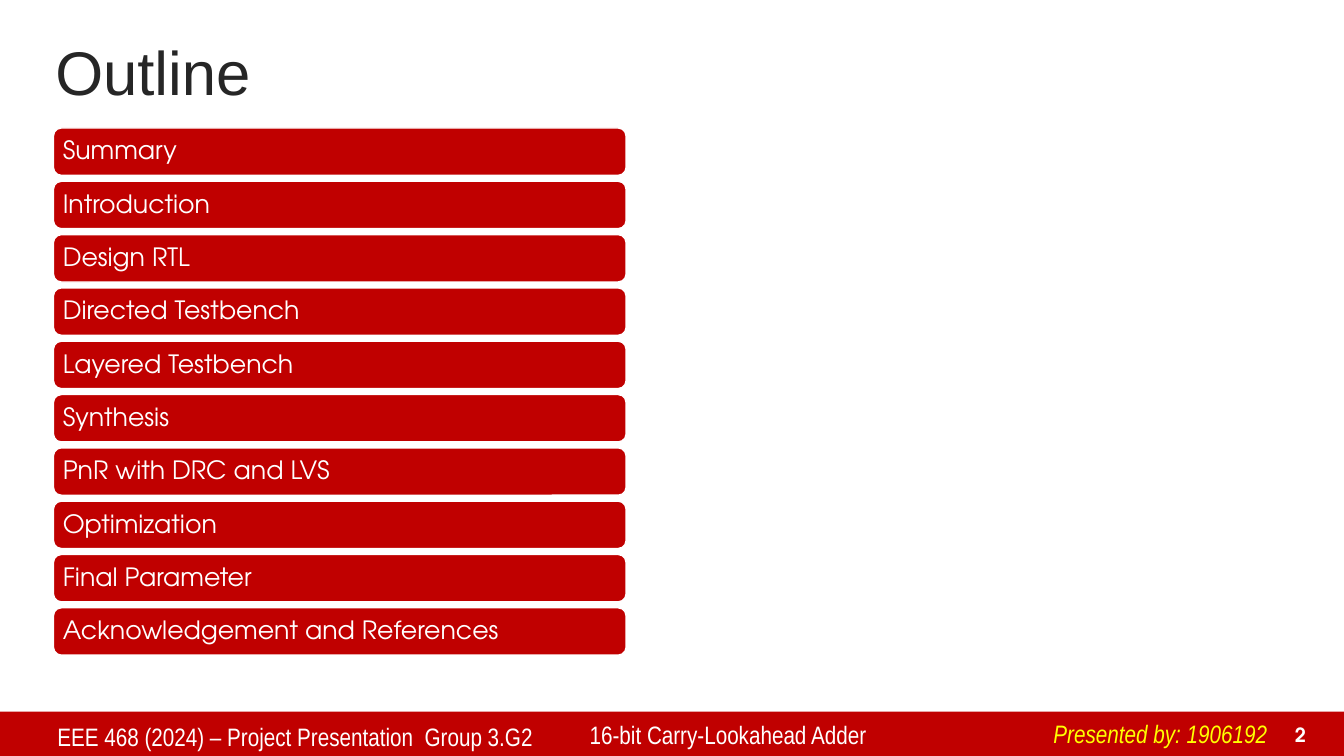
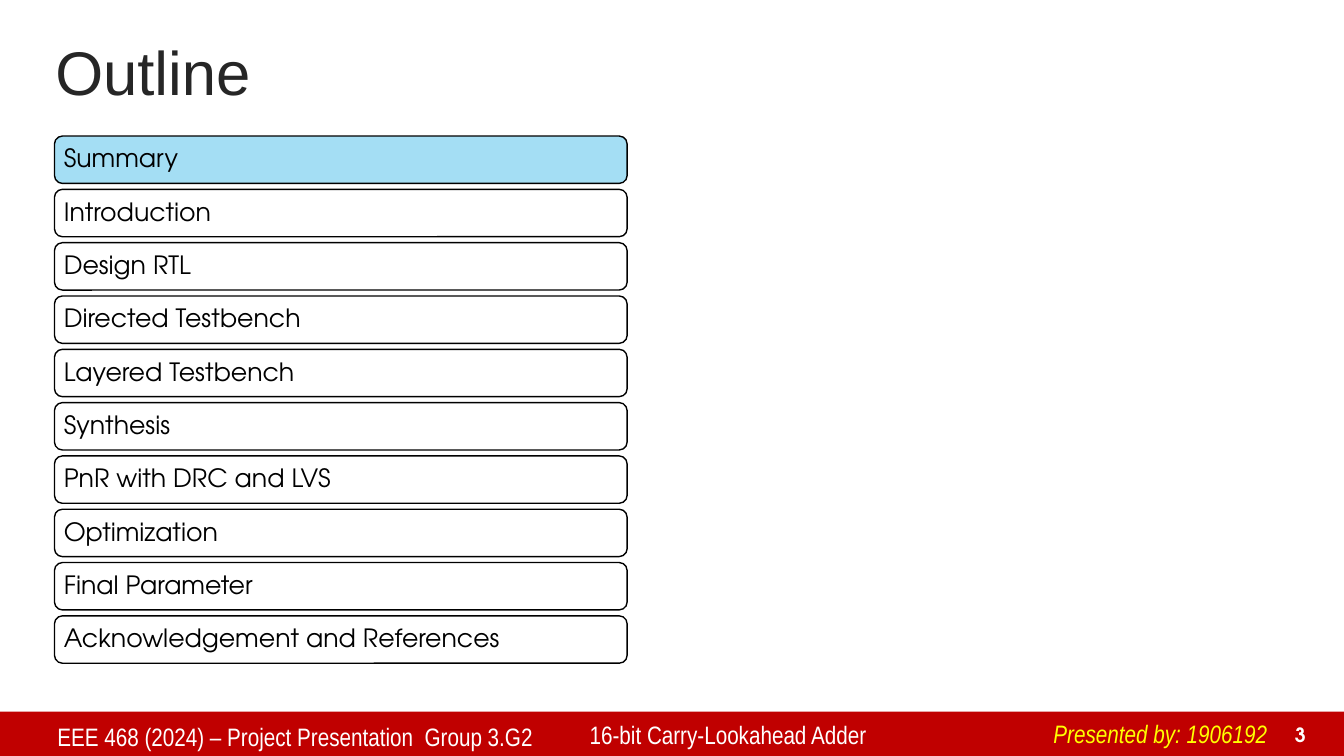
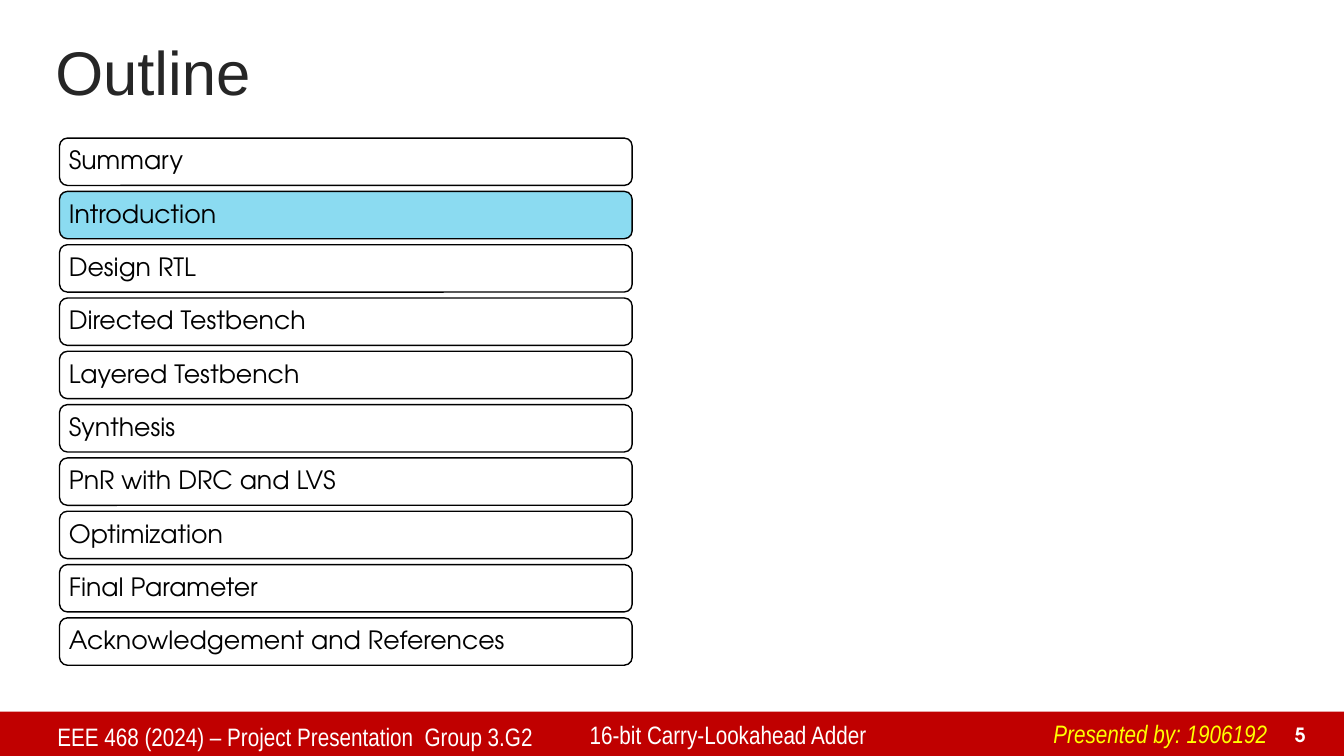
import pptx
import pptx.dml.color
import pptx.enum.shapes
import pptx.enum.text
import pptx.util

Inches = pptx.util.Inches
ANCHOR = pptx.enum.text.MSO_ANCHOR
ALIGN = pptx.enum.text.PP_ALIGN
SHAPE = pptx.enum.shapes.MSO_SHAPE

TOPICS = [
    "Summary",
    "Introduction",
    "Design RTL",
    "Directed Testbench",
    "Layered Testbench",
    "Synthesis",
    "PnR with DRC and LVS",
    "Optimization",
    "Final Parameter",
    "Acknowledgement and References",
]


def color(value):
    return pptx.dml.color.RGBColor.from_string(value)


def write(frame, text, *, size=18, font="Arial Narrow", ink="FFFFFF", bold=False,
          italic=False, align=ALIGN.LEFT, anchor=ANCHOR.TOP, spacing=1.0,
          wrap=True, inset=None):
    """Fill a text frame with one formatted paragraph."""
    frame.word_wrap = wrap
    frame.vertical_anchor = anchor
    if inset is not None:
        frame.margin_left = frame.margin_right = Inches(inset)
        frame.margin_top = frame.margin_bottom = Inches(inset)
    para = frame.paragraphs[0]
    para.alignment = align
    para.line_spacing = spacing
    span = para.add_run()
    span.text = text
    span.font.name = font
    span.font.size = pptx.util.Pt(size)
    span.font.bold = bold
    span.font.italic = italic
    span.font.color.rgb = color(ink)


class Deck:
    RED, WHITE, BLACK = "C00000", "FFFFFF", "000000"
    TITLE_INK, PRESENTER_INK = "262626", "FFFF00"
    TITLE_FONT, BODY_FONT = "Arial", "TeX Gyre Adventor"
    BAR_WIDTH, BAR_HEIGHT = 5.68, 0.47
    LIST_SPAN = 4.76  # from the top of the first bar to the top of the last

    def __init__(self):
        self.file = pptx.Presentation()
        self.file.slide_width = Inches(13.33)
        self.file.slide_height = Inches(7.5)
        self.page = None

    def add_page(self, title, number):
        self.page = self.file.slides.add_slide(self.file.slide_layouts[6])
        self.shape(SHAPE.RECTANGLE, 0, 7.06, 13.33, 0.45, self.RED)
        self.text(title, 0.45, 0.35, 11, 0.8, size=44, font=self.TITLE_FONT,
                  ink=self.TITLE_INK, anchor=ANCHOR.MIDDLE, spacing=0.9)
        self.footer(number)

    def footer(self, number):
        self.text(str(number), 12.48, 7.11, 0.57, 0.34, size=14, bold=True,
                  font=self.BODY_FONT, align=ALIGN.RIGHT, anchor=ANCHOR.BOTTOM)
        self.text("EEE 468 (2024) – Project Presentation  Group 3.G2",
                  0.47, 7.11, 5.28, 0.41)
        self.text("16-bit Carry-Lookahead Adder", 5.75, 7.09, 4.24, 0.41)
        presenter = self.text("Presented by: 1906192", 10.35, 7.08, 2.35, 0.4,
                              ink=self.PRESENTER_INK, italic=True, wrap=False)
        presenter.text_frame.auto_size = pptx.enum.text.MSO_AUTO_SIZE.SHAPE_TO_FIT_TEXT

    def text(self, text, left, top, width, height, **style):
        box = self.page.shapes.add_textbox(
            Inches(left), Inches(top), Inches(width), Inches(height))
        write(box.text_frame, text, **style)
        return box

    def shape(self, kind, left, top, width, height, fill, line=None):
        box = self.page.shapes.add_shape(
            kind, Inches(left), Inches(top), Inches(width), Inches(height))
        box.shadow.inherit = False
        box.fill.solid()
        box.fill.fore_color.rgb = color(fill)
        if line:
            box.line.color.rgb = color(line)
            box.line.width = pptx.util.Pt(1)
        else:
            box.line.fill.background()
        return box

    def topic_list(self, left, top, *, fill=WHITE, line=BLACK, ink=BLACK,
                   current=None, highlight=None):
        step = self.LIST_SPAN / (len(TOPICS) - 1)
        for index, topic in enumerate(TOPICS):
            bar = self.shape(SHAPE.ROUNDED_RECTANGLE, left, top + index * step,
                             self.BAR_WIDTH, self.BAR_HEIGHT,
                             highlight if topic == current else fill, line)
            write(bar.text_frame, topic, font=self.BODY_FONT, ink=ink,
                  anchor=ANCHOR.MIDDLE, spacing=0.9, inset=0.07)


def main():
    deck = Deck()

    # Full outline
    deck.add_page("Outline", 2)
    deck.topic_list(0.53, 1.27, fill=deck.RED, line=deck.WHITE, ink=deck.WHITE)

    # Outline at the summary
    deck.add_page("Outline", 3)
    deck.topic_list(0.54, 1.35, current="Summary", highlight="A4DEF4")

    # Outline at the introduction
    deck.add_page("Outline", 5)
    deck.topic_list(0.59, 1.37, current="Introduction", highlight="8BDBF1")

    deck.file.save("out.pptx")


if __name__ == "__main__":
    main()
